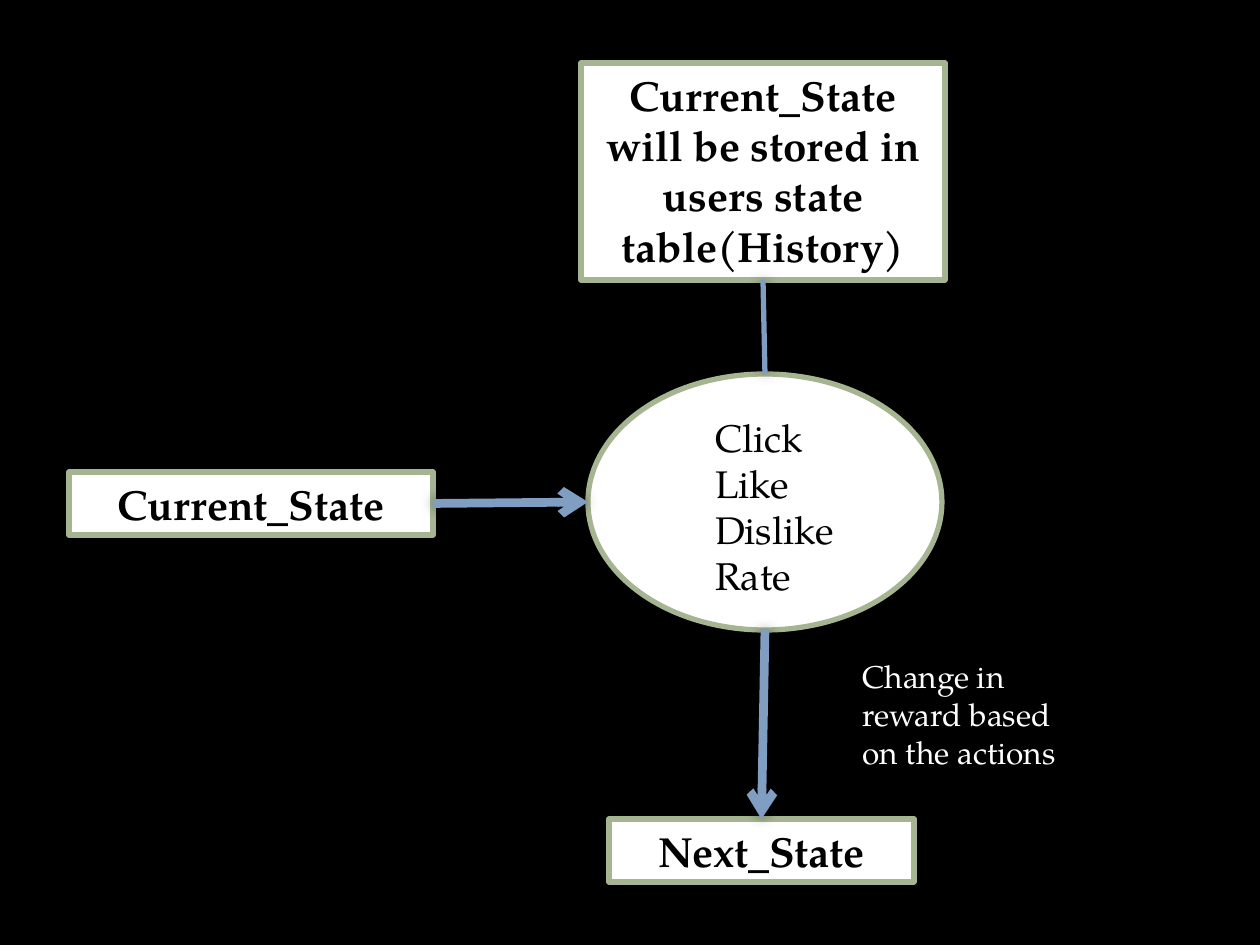
from dataclasses import dataclass

from lxml.etree import SubElement
from pptx import Presentation
from pptx.dml.color import RGBColor
from pptx.enum.shapes import MSO_CONNECTOR as Connector, MSO_SHAPE as Shape
from pptx.enum.text import MSO_ANCHOR as Anchor, PP_ALIGN as Align
from pptx.oxml.ns import qn
from pptx.slide import Slide
from pptx.text.text import TextFrame
from pptx.util import Pt

PX = 914400 / 126
FONT = "TeX Gyre Pagella"
COLORS = {
    "background": "000000",
    "node": "FFFFFF",
    "border": "A5B592",
    "arrow": "809EC2",
    "ink": "000000",
    "note": "FFFFFF",
}


def px(value: float) -> int:
    """Turn pixels into EMU."""
    return round(value * PX)


def color(name: str) -> RGBColor:
    """Look up a named colour."""
    return RGBColor.from_string(COLORS[name])


@dataclass(frozen=True)
class Box:
    """A rectangle in pixels, with the middles of its edges."""
    left: int
    top: int
    width: int
    height: int

    def emu(self) -> list[int]:
        """Give position and size in EMU."""
        return [px(v) for v in (self.left, self.top, self.width, self.height)]

    def edge(self, side: str) -> tuple[float, float]:
        """Give the middle point of one edge."""
        across, down = {"top": (0.5, 0), "bottom": (0.5, 1),
                        "left": (0, 0.5), "right": (1, 0.5)}[side]
        return self.left + across * self.width, self.top + down * self.height


@dataclass(frozen=True)
class Node:
    """A bordered shape of the flow."""
    box: Box
    text: str
    kind: Shape = Shape.RECTANGLE


@dataclass(frozen=True)
class Link:
    """A line between two node edges."""
    start: tuple[float, float]
    end: tuple[float, float]
    width: int = 5
    arrow: bool = True


def write(frame: TextFrame, text: str, size: int, ink: str,
          align: Align = Align.LEFT, bold: bool = False) -> None:
    """Fill a text frame and format its runs."""
    frame.text = text
    frame.word_wrap = True
    for paragraph in frame.paragraphs:
        paragraph.alignment = align
        for run in paragraph.runs:
            run.font.name = FONT
            run.font.size = Pt(size)
            run.font.bold = bold
            run.font.color.rgb = color(ink)


def add_node(slide: Slide, node: Node) -> None:
    """Draw a state box or the ellipse of actions."""
    shape = slide.shapes.add_shape(node.kind, *node.box.emu())
    shape.shadow.inherit = False
    shape.fill.solid()
    shape.fill.fore_color.rgb = color("node")
    shape.line.color.rgb = color("border")
    shape.line.width = Pt(3)
    frame = shape.text_frame
    if node.kind == Shape.OVAL:
        write(frame, node.text, 22, "ink")
        frame.vertical_anchor = Anchor.MIDDLE
        frame.margin_top = px(14)
        for paragraph in frame.paragraphs:
            paragraph._p.get_or_add_pPr().set("marL", str(px(63)))
    else:
        write(frame, node.text, 24, "ink", Align.CENTER, bold=True)
        frame.vertical_anchor = Anchor.TOP


def add_link(slide: Slide, link: Link) -> None:
    """Draw a line with a soft shadow and an optional arrowhead."""
    points = [px(v) for v in (*link.start, *link.end)]
    connector = slide.shapes.add_connector(Connector.STRAIGHT, *points)
    connector.line.color.rgb = color("arrow")
    connector.line.width = Pt(link.width)
    if link.arrow:
        SubElement(connector.line._get_or_add_ln(), qn("a:tailEnd"), type="arrow")
    effects = SubElement(connector._element.spPr, qn("a:effectLst"))
    shadow = SubElement(effects, qn("a:outerShdw"), blurRad=str(Pt(7.5)),
                        dist="0", dir="0", rotWithShape="0")
    black = SubElement(shadow, qn("a:srgbClr"), val="000000")
    SubElement(black, qn("a:alpha"), val="50000")


def main() -> None:
    """Build the state diagram."""
    deck = Presentation()
    deck.slide_width, deck.slide_height = px(1260), px(945)
    slide = deck.slides.add_slide(deck.slide_layouts[6])
    slide.background.fill.solid()
    slide.background.fill.fore_color.rgb = color("background")

    current = Node(Box(69, 472, 364, 63), "Current_State")
    following = Node(Box(609, 819, 305, 63), "Next_State")
    actions = Node(Box(588, 374, 354, 256), "Click\nLike\nDislike\nRate", Shape.OVAL)
    history = Node(Box(581, 63, 364, 217),
                   "Current_State will be stored in users state table(History)")
    for node in (current, following, actions, history):
        add_node(slide, node)

    for link in (
        Link(current.box.edge("right"), actions.box.edge("left")),
        Link(actions.box.edge("bottom"), following.box.edge("top")),
        Link(history.box.edge("bottom"), actions.box.edge("top"), 3, False),
    ):
        add_link(slide, link)

    reward = slide.shapes.add_textbox(*Box(850, 651, 246, 127).emu())
    write(reward.text_frame, "Change in reward based on the actions", 18, "note")
    deck.save("out.pptx")


main()
